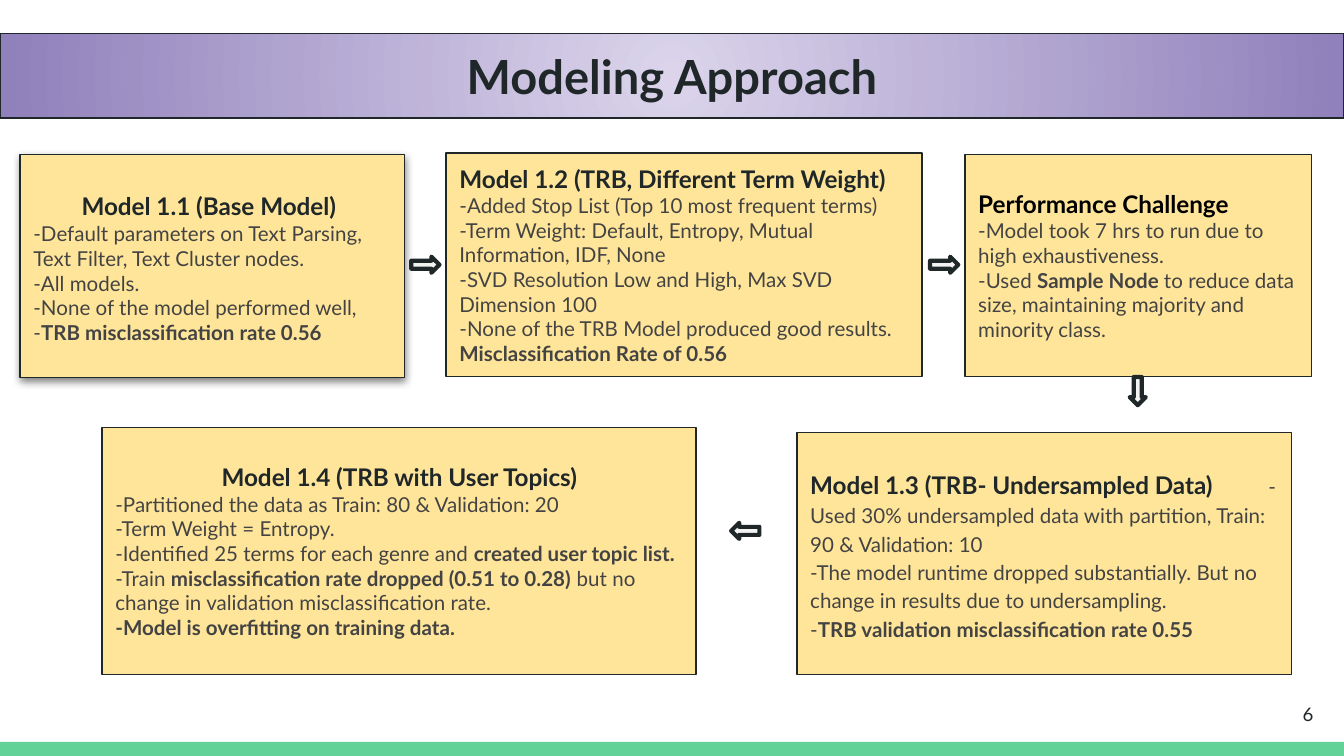
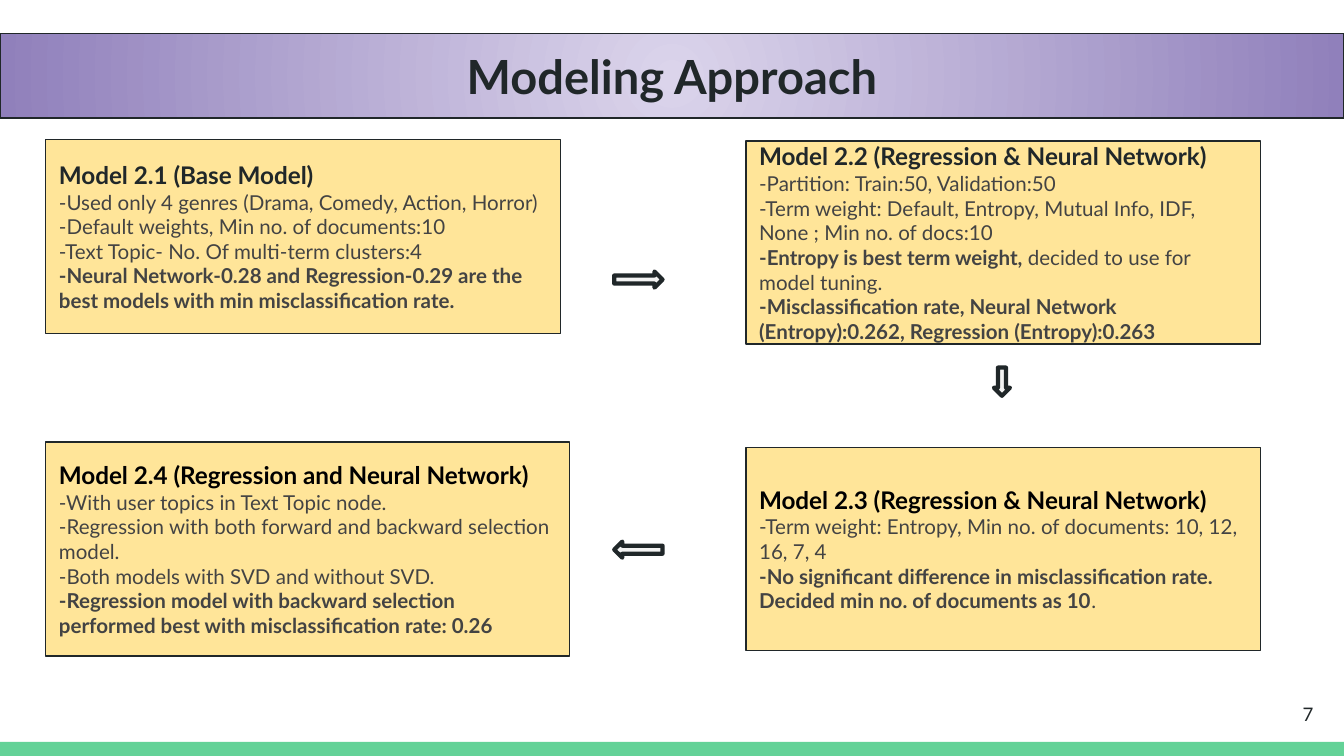
from lxml.etree import SubElement
from pptx import Presentation
from pptx.dml.color import RGBColor
from pptx.enum.shapes import MSO_SHAPE as Preset
from pptx.enum.text import MSO_ANCHOR as Anchor, PP_ALIGN as Align
from pptx.oxml.ns import qn
from pptx.util import Emu, Pt

PX = 9144
WIDTH = 1000
FONT = "Lato"
COLORS = {
    "ink": "202729",
    "black": "000000",
    "body": "434343",
    "card": "FFE599",
    "arrow": "F3F3F3",
    "footer": "63D297",
    "band_center": "DBD4EB",
    "band_edge": "9080BB",
}


def px(length):
    return Emu(length * PX)


def color(name):
    return RGBColor.from_string(COLORS[name])


def add_text(paragraph, text, size=11, ink="body", bold=False, align=Align.LEFT,
             spacing=None):
    paragraph.alignment = align
    paragraph.line_spacing = spacing
    for index, part in enumerate(text.split("**")):
        if part:
            run = paragraph.add_run()
            run.text = part
            run.font.name = FONT
            run.font.size = Pt(size)
            run.font.bold = bold or index % 2 == 1
            run.font.color.rgb = color(ink)


def prepare_frame(shape, anchor=Anchor.MIDDLE):
    frame = shape.text_frame
    frame.word_wrap = True
    frame.vertical_anchor = anchor
    frame.margin_left = frame.margin_right = px(10)
    frame.margin_top = frame.margin_bottom = px(10)
    return frame


def add_block(slide, preset, box, fill, line_width=0.75):
    block = slide.shapes.add_shape(preset, *map(px, box))
    block.shadow.inherit = False
    block.fill.solid()
    block.fill.fore_color.rgb = color(fill)
    if line_width:
        block.line.color.rgb = color("ink")
        block.line.width = Pt(line_width)
    else:
        block.line.fill.background()
    return block


def add_title_band(slide, title, box):
    band = add_block(slide, Preset.RECTANGLE, box, "band_edge")
    band.fill.gradient()
    for stop, name in zip(band.fill.gradient_stops, ("band_center", "band_edge")):
        stop.color.rgb = color(name)
    gradient = band.element.spPr.find(qn("a:gradFill"))
    gradient.remove(gradient.find(qn("a:lin")))
    radial = SubElement(gradient, qn("a:path"), path="circle")
    SubElement(radial, qn("a:fillToRect"), dict.fromkeys("ltrb", "50000"))
    frame = prepare_frame(band, Anchor.TOP)
    add_text(frame.paragraphs[0], title, size=25.2, ink="ink", bold=True,
             align=Align.CENTER)


def add_footer(slide, number, box):
    left, top, width, height = box
    add_block(slide, Preset.RECTANGLE, box, "footer", line_width=0)
    page = slide.shapes.add_textbox(*map(px, (left + width - 73, top - 42, 60, 43)))
    add_text(prepare_frame(page).paragraphs[0], str(number), size=10, ink="ink",
             align=Align.RIGHT)


def add_shadow(card):
    effects = card.element.spPr.find(qn("a:effectLst"))
    shadow = SubElement(effects, qn("a:outerShdw"), blurRad=str(Pt(4.5)),
                        dist=str(Pt(1.5)), dir="5400000", algn="bl", rotWithShape="0")
    tint = SubElement(shadow, qn("a:srgbClr"), val=COLORS["black"])
    SubElement(tint, qn("a:alpha"), val="50000")


def add_tab_stop(paragraph, position):
    stops = SubElement(paragraph._p.get_or_add_pPr(), qn("a:tabLst"))
    SubElement(stops, qn("a:tab"), pos=str(px(position)), algn="l")


def add_card(slide, box, heading, notes, ink="ink", align=Align.LEFT, spacing=None,
             tail_size=None, lead=None, preset=Preset.ROUNDED_RECTANGLE, shadow=False):
    card = add_block(slide, preset, box, "card")
    if preset == Preset.ROUNDED_RECTANGLE:
        card.adjustments[0] = 0
    if shadow:
        add_shadow(card)
    frame = prepare_frame(card)
    first = frame.paragraphs[0]
    add_text(first, heading, size=13, ink=ink, bold=True, align=align, spacing=spacing)
    if tail_size:
        add_text(first, " ", size=tail_size, align=align)
    if lead:
        add_text(first, "\t" + lead, spacing=spacing)
        add_tab_stop(first, 341)
    for note in notes:
        add_text(frame.add_paragraph(), note, spacing=spacing)


def add_arrow(slide, left, top, width=21, turn=0):
    arrow = add_block(slide, Preset.RIGHT_ARROW, (left, top, width, 12), "arrow", 2.25)
    arrow.rotation = turn


def add_model_slide(deck, number, cards, arrows):
    slide = deck.slides.add_slide(deck.slide_layouts[6])
    add_footer(slide, number, (0, 552, WIDTH, 11))
    add_title_band(slide, "Modeling Approach", (0, 25, WIDTH, 63))
    for card in cards:
        add_card(slide, **card)
    for arrow in arrows:
        add_arrow(slide, **arrow)


TEXT_MODELS = [
    dict(box=(15, 115, 286, 166), heading="Model 1.1 (Base Model)",
         align=Align.CENTER, tail_size=15, shadow=True, notes=[
             "-Default parameters on Text Parsing, Text Filter, Text Cluster nodes.",
             "-All models.",
             "-None of the model performed well, -**TRB misclassification rate 0.56**"]),
    dict(box=(332, 114, 354, 166), heading="Model 1.2 (TRB, Different Term Weight)",
         notes=[
             "-Added Stop List (Top 10 most frequent terms)",
             "-Term Weight: Default, Entropy, Mutual Information, IDF, None",
             "-SVD Resolution Low and High, Max SVD Dimension 100",
             "-None of the TRB Model produced good results. "
             "**Misclassification Rate of 0.56**"]),
    dict(box=(718, 115, 258, 165), heading="Performance Challenge", ink="black",
         notes=[
             "-Model took 7 hrs to run due to high exhaustiveness.",
             "-Used **Sample Node **to reduce data size, maintaining majority and "
             "minority class."]),
    dict(box=(593, 322, 368, 180), heading="Model 1.3 (TRB- Undersampled Data)",
         spacing=1.15,
         lead="- Used 30% undersampled data with partition, Train: 90 & Validation: 10",
         notes=[
             "-The model runtime dropped substantially. But no change in results due to "
             "undersampling.",
             "-**TRB validation misclassification rate 0.55**"]),
    dict(box=(76, 318, 442, 184), heading="Model 1.4 (TRB with User Topics)",
         align=Align.CENTER, preset=Preset.RECTANGLE, notes=[
             "-Partitioned the data as Train: 80 & Validation: 20",
             "-Term Weight = Entropy.",
             "-Identified 25 terms for each genre and **created user topic list.**",
             "-Train **misclassification rate dropped (0.51 to 0.28)** but no change in "
             "validation misclassification rate.",
             "**-Model is overfitting on training data.**"]),
]
TEXT_ARROWS = [
    dict(left=306, top=191),
    dict(left=692, top=191),
    dict(left=836, top=285, turn=90),
    dict(left=544, top=389, turn=180),
]
GENRE_MODELS = [
    dict(box=(34, 104, 383, 144), heading="Model 2.1 (Base Model)", notes=[
        "-Used only 4 genres (Drama, Comedy, Action, Horror)",
        "-Default weights, Min no. of documents:10",
        "-Text Topic- No. Of multi-term clusters:4",
        "**-Neural Network-0.28 and Regression-0.29 are the best models with min "
        "misclassification rate.**"]),
    dict(box=(555, 105, 383, 151), heading="Model 2.2 (Regression & Neural Network)",
         notes=[
             "-Partition: Train:50, Validation:50",
             "-Term weight: Default, Entropy, Mutual Info, IDF, None ; Min no. of docs:10",
             "**-Entropy is best term weight, **decided to use for model tuning.",
             "**-Misclassification rate, Neural Network (Entropy):0.262, Regression "
             "(Entropy):0.263**"]),
    dict(box=(555, 333, 383, 151), heading="Model 2.3 (Regression & Neural Network)",
         ink="black", notes=[
             "-Term weight: Entropy, Min no. of documents: 10, 12, 16, 7, 4",
             "**-No significant difference in misclassification rate. Decided min no. of "
             "documents as 10**."]),
    dict(box=(34, 329, 390, 159), heading="Model 2.4 (Regression and Neural Network)",
         ink="black", preset=Preset.RECTANGLE, notes=[
             "-With user topics in Text Topic node.",
             "-Regression with both forward and backward selection model.",
             "-Both models with SVD and without SVD.",
             "**-Regression model with backward selection performed best with "
             "misclassification rate: 0.26**"]),
]
GENRE_ARROWS = [
    dict(left=457, top=202, width=36),
    dict(left=457, top=403, width=36, turn=180),
    dict(left=735, top=278, turn=90),
]


def main():
    deck = Presentation()
    deck.slide_width = px(WIDTH)
    deck.slide_height = px(WIDTH) * 9 // 16
    add_model_slide(deck, 6, TEXT_MODELS, TEXT_ARROWS)
    add_model_slide(deck, 7, GENRE_MODELS, GENRE_ARROWS)
    deck.save("out.pptx")


if __name__ == "__main__":
    main()
